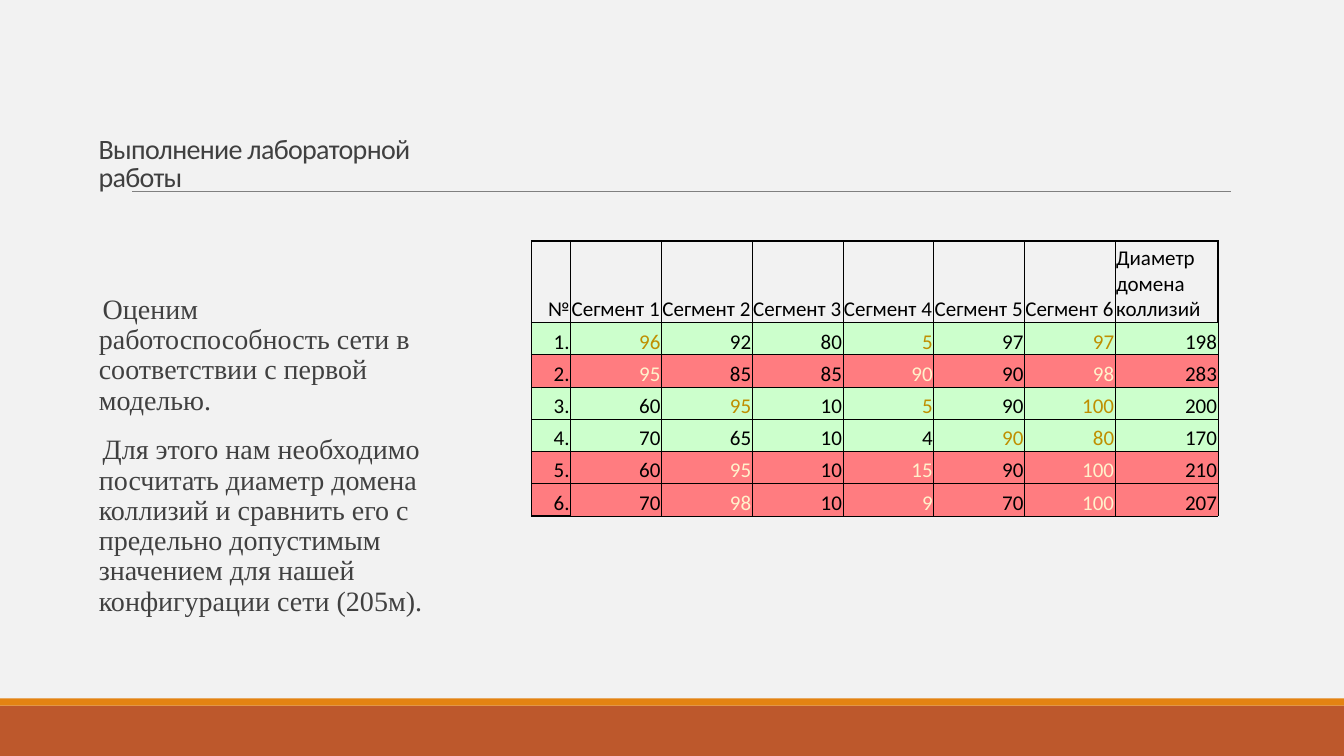
"""Build the slide that rates six network layouts by collision domain diameter."""
from lxml.etree import SubElement
from pptx import Presentation
from pptx.dml.color import RGBColor
from pptx.enum.shapes import MSO_CONNECTOR, MSO_SHAPE
from pptx.enum.text import MSO_ANCHOR, PP_ALIGN
from pptx.oxml.ns import qn
from pptx.util import Emu, Pt

PX = 9144
LIMIT = 205
BLACK, GREY = "000000", "404040"
HEADERS = ["№"] + [f"Сегмент {n}" for n in range(1, 7)] + ["Диаметр домена коллизий"]
SEGMENTS = [
    ([96, 92, 80, 5, 97, 97], (0, 3, 5)),
    ([95, 85, 85, 90, 90, 98], (0, 3, 5)),
    ([60, 95, 10, 5, 90, 100], (1, 3, 5)),
    ([70, 65, 10, 4, 90, 80], (4, 5)),
    ([60, 95, 10, 15, 90, 100], (1, 3, 5)),
    ([70, 98, 10, 9, 70, 100], (1, 3, 5)),
]
BODY = [
    "Оценим работоспособность сети в соответствии с первой моделью.",
    "Для этого нам необходимо посчитать диаметр домена коллизий и сравнить его "
    "с предельно допустимым значением для нашей конфигурации сети (205м).",
]


def px(n):
    """Turn px into EMU."""
    return Emu(n * PX)


def rgb(color):
    """Turn a hex string into a colour."""
    return RGBColor.from_string(color)


def add_bar(s, y, h, color):
    """Draw a full-width bar."""
    sp = s.shapes.add_shape(MSO_SHAPE.RECTANGLE, 0, px(y), px(1333), px(h))
    sp.shadow.inherit = False
    sp.fill.solid()
    sp.fill.fore_color.rgb = rgb(color)
    sp.line.fill.background()


def add_rule(s, x1, x2, y):
    """Draw the thin rule under the title."""
    sp = s.shapes.add_connector(MSO_CONNECTOR.STRAIGHT, px(x1), px(y), px(x2), px(y))
    sp.line.color.rgb = rgb("808080")
    sp.line.width = Pt(0.5)
    SubElement(sp._element.spPr, qn("a:effectLst"))


def add_run(p, text, size, font, color):
    """Add one formatted run."""
    r = p.add_run()
    r.text = text
    r.font.size = Pt(size)
    r.font.name = font
    r.font.color.rgb = rgb(color)
    return r


def add_text_frame(s, x, y, w, h, side, anchor):
    """Add a wrapping text box and return its frame."""
    tf = s.shapes.add_textbox(px(x), px(y), px(w), px(h)).text_frame
    tf.word_wrap = True
    tf.vertical_anchor = anchor
    tf.margin_left = tf.margin_right = px(side)
    tf.margin_top = tf.margin_bottom = px(5)
    return tf


def add_title(s, text):
    """Add the slide title."""
    p = add_text_frame(s, 88, 67, 335, 130, 10, MSO_ANCHOR.BOTTOM).paragraphs[0]
    p.line_spacing = 0.85
    r = add_run(p, text, 20, "Calibri", GREY)
    r.font._element.set("spc", "-50")


def add_body(s, texts):
    """Add the body paragraphs with blank hanging bullets."""
    tf = add_text_frame(s, 88, 288, 335, 357, 0, MSO_ANCHOR.TOP)
    for i, text in enumerate(texts):
        p = tf.add_paragraph() if i else tf.paragraphs[0]
        p.line_spacing = 0.9
        p.space_before, p.space_after = Pt(12), Pt(2)
        pPr = p._p.get_or_add_pPr()
        pPr.set("marL", str(px(10)))
        pPr.set("indent", str(px(-10)))
        SubElement(SubElement(pPr, qn("a:buClr")), qn("a:srgbClr"), val="E48312")
        SubElement(pPr, qn("a:buChar"), char=" ")
        add_run(p, text, 20, "Times New Roman", GREY)


def set_borders(cell, widths):
    """Set left, right, top and bottom borders, ahead of the cell's fill."""
    tcPr = cell._tc.get_or_add_tcPr()
    for i, (side, width) in enumerate(zip("LRTB", widths)):
        ln = SubElement(tcPr, qn(f"a:ln{side}"), w=str(Pt(width)))
        SubElement(SubElement(ln, qn("a:solidFill")), qn("a:srgbClr"), val=BLACK)
        tcPr.insert(i, ln)


def fill_cell(cell, text, align, color, fill):
    """Write, align and fill one cell."""
    cell.margin_left = cell.margin_right = cell.margin_top = px(1)
    cell.margin_bottom = 0
    cell.vertical_anchor = MSO_ANCHOR.BOTTOM
    p = cell.text_frame.paragraphs[0]
    p.alignment = align
    add_run(p, text, 15, "Calibri", color)
    if fill:
        cell.fill.solid()
        cell.fill.fore_color.rgb = rgb(fill)
    else:
        cell.fill.background()


def table_rows():
    """Yield each row as its fill and its (text, colour) pairs."""
    yield None, [(text, BLACK) for text in HEADERS]
    for n, (lengths, longest) in enumerate(SEGMENTS, 1):
        diameter = sum(lengths[i] for i in longest)
        fill, accent = ("CCFFCC", "BF8F00") if diameter <= LIMIT else ("FF7C80", "FFF2CC")
        cells = [(str(v), accent if i in longest else BLACK) for i, v in enumerate(lengths)]
        yield fill, [(f"{n}.", BLACK), *cells, (str(diameter), BLACK)]


def add_segment_table(s):
    """Add the table of segment lengths and diameters."""
    widths, heights = [39] + [90] * 6 + [102], [81] + [32] * 6
    last_row, last_col = len(heights) - 1, len(widths) - 1
    table = s.shapes.add_table(len(heights), len(widths), px(527), px(239),
                               px(sum(widths)), px(sum(heights))).table
    table.first_row = table.horz_banding = False
    for col, w in zip(table.columns, widths):
        col.width = px(w)
    for row, h in zip(table.rows, heights):
        row.height = px(h)
    for i, (fill, cells) in enumerate(table_rows()):
        for j, (text, color) in enumerate(cells):
            align = PP_ALIGN.LEFT if i == 0 and j else PP_ALIGN.RIGHT
            fill_cell(table.cell(i, j), text, align, color, fill)
            heavy = (j <= 1, j == 0 or (i == 0 and j == last_col),
                     i <= 1, i == 0 or (i == last_row and j == 0))
            set_borders(table.cell(i, j), [1 if on else 0.5 for on in heavy])


def main():
    """Build and save the slide."""
    prs = Presentation()
    prs.slide_width, prs.slide_height = px(1333), px(750)
    s = prs.slides.add_slide(prs.slide_layouts[6])
    s.background.fill.solid()
    s.background.fill.fore_color.rgb = rgb("F2F2F2")
    add_bar(s, 700, 50, "BD582C")
    add_bar(s, 693, 7, "E48312")
    add_rule(s, 131, 1221, 190)
    add_title(s, "Выполнение лабораторной работы")
    add_body(s, BODY)
    add_segment_table(s)
    prs.save("out.pptx")


if __name__ == "__main__":
    main()
